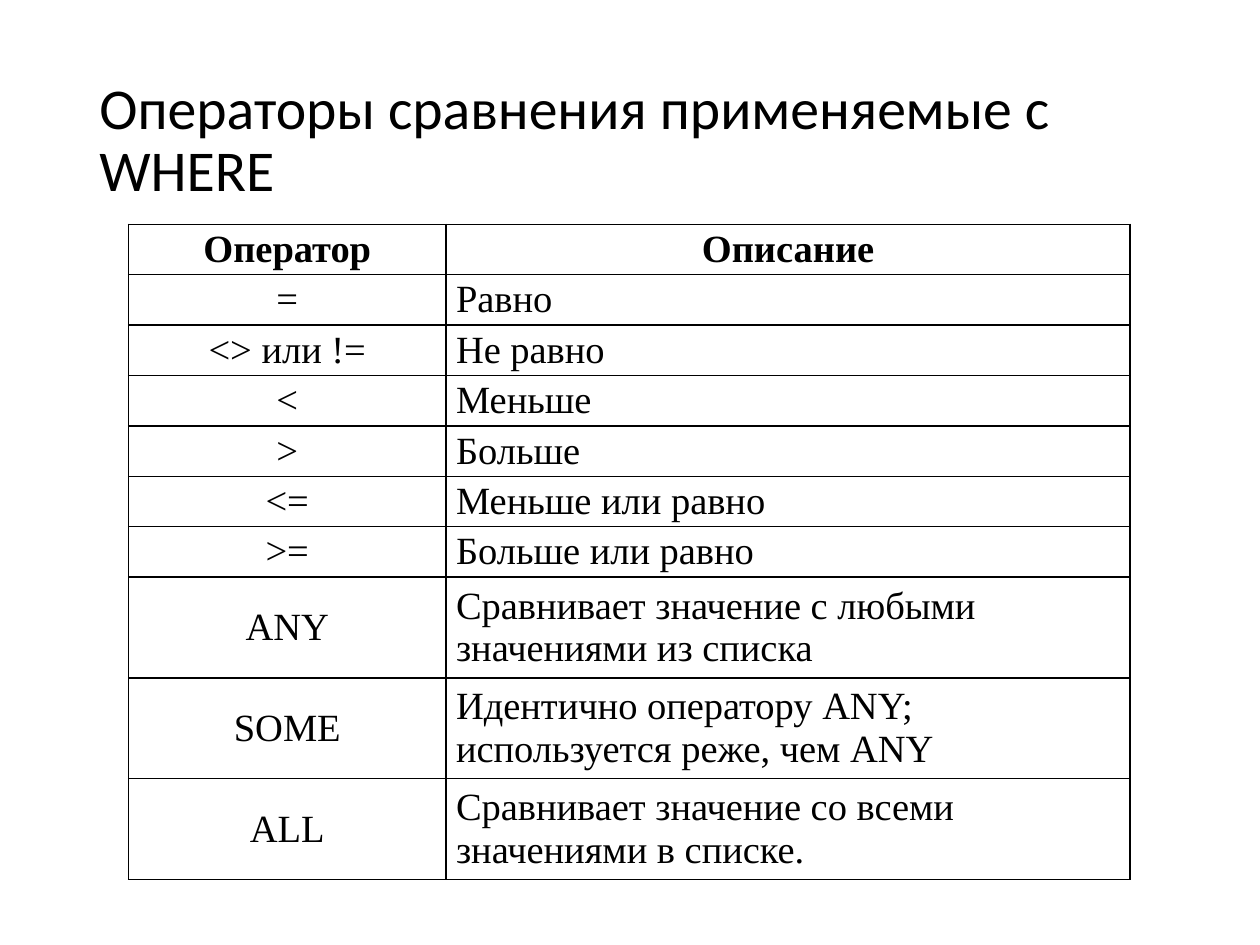
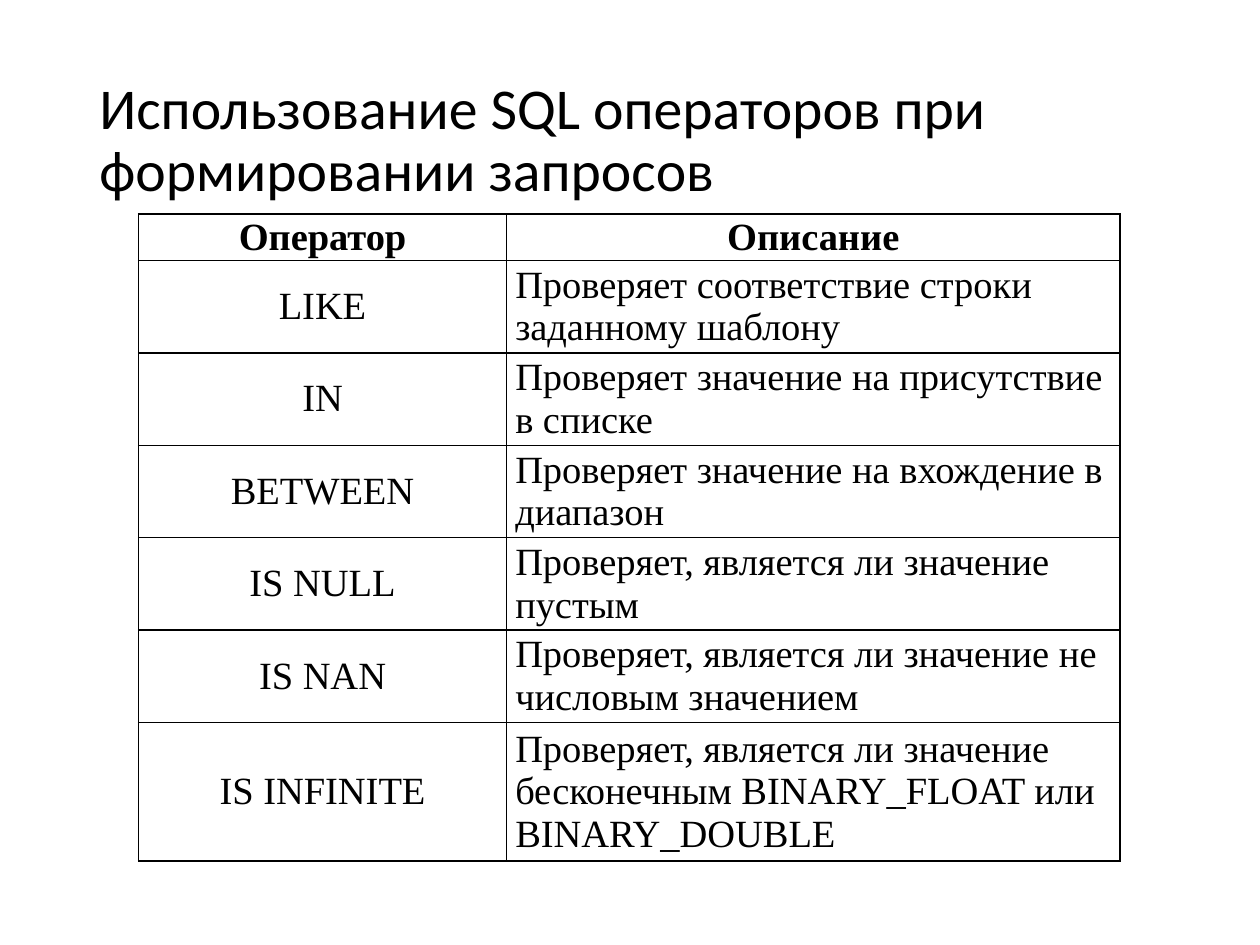
"""Build two slides that list SQL comparison and condition operators."""
from dataclasses import dataclass

from lxml import etree
from pptx import Presentation
from pptx.dml.color import RGBColor
from pptx.enum.text import MSO_ANCHOR, PP_ALIGN
from pptx.oxml.ns import qn
from pptx.util import Inches, Pt

MIDDLE = MSO_ANCHOR.MIDDLE
CENTER, LEFT = PP_ALIGN.CENTER, PP_ALIGN.LEFT

HEADER = ("Оператор", "Описание", 1)

SLIDES = [
    {
        "title": "Операторы сравнения применяемые с WHERE",
        "left": 1.02, "top": 1.78, "columns": (2.52, 5.43),
        "line_height": 0.4, "inset": 0.08,
        "rows": [
            ("=", "Равно", 1),
            ("<> или !=", "Не равно", 1),
            ("<", "Меньше", 1),
            (">", "Больше", 1),
            ("<=", "Меньше или равно", 1),
            (">=", "Больше или равно", 1),
            ("ANY", "Сравнивает значение с любыми значениями из списка", 2),
            ("SOME", "Идентично оператору ANY; используется реже, чем ANY", 2),
            ("ALL", "Сравнивает значение со всеми значениями в списке.", 2),
        ],
    },
    {
        "title": "Использование SQL операторов при формировании запросов",
        "left": 1.1, "top": 1.7, "columns": (2.92, 4.87),
        "line_height": 5.13 / 14, "inset": 0.07,
        "rows": [
            ("LIKE", "Проверяет соответствие строки заданному шаблону", 2),
            ("IN", "Проверяет значение на присутствие в списке", 2),
            ("BETWEEN", "Проверяет значение на вхождение в диапазон", 2),
            ("IS NULL", "Проверяет, является ли значение пустым", 2),
            ("IS NAN", "Проверяет, является ли значение не числовым значением", 2),
            ("IS INFINITE", "Проверяет, является ли значение бесконечным "
                            "BINARY_FLOAT или BINARY_DOUBLE", 3),
        ],
    },
]


@dataclass(frozen=True)
class Theme:
    ink: str = "000000"
    paper: str = "FFFFFF"
    title_font: str = "Calibri"
    title_size: int = 33
    title_spacing: float = 0.9
    title_box: tuple = (0.69, 0.4, 8.62, 1.45)
    table_font: str = "Times New Roman"
    table_size: int = 22
    border_width: int = 1


THEME = Theme()


def apply_format(target, values):
    for name, value in values.items():
        setattr(target, name, value)


def write_text(frame, text, font_name, size, bold=False, **paragraph_format):
    paragraph = frame.paragraphs[0]
    run = paragraph.add_run()
    run.text = text
    apply_format(paragraph, paragraph_format)
    apply_format(run.font, {"name": font_name, "size": Pt(size), "bold": bold})
    run.font.color.rgb = RGBColor.from_string(THEME.ink)


def add_title(slide, text):
    frame = slide.shapes.add_textbox(*map(Inches, THEME.title_box)).text_frame
    apply_format(frame, {"word_wrap": True, "vertical_anchor": MIDDLE})
    write_text(frame, text, THEME.title_font, THEME.title_size,
               line_spacing=THEME.title_spacing)


def add_borders(cell):
    properties = cell._tc.get_or_add_tcPr()
    for side in ("a:lnL", "a:lnR", "a:lnT", "a:lnB"):
        line = etree.SubElement(properties, qn(side), w=str(Pt(THEME.border_width)))
        fill = etree.SubElement(line, qn("a:solidFill"))
        etree.SubElement(fill, qn("a:srgbClr"), val=THEME.ink)


def add_operator_table(slide, content):
    rows = [HEADER, *content["rows"]]
    heights = [lines * content["line_height"] for *_, lines in rows]
    columns = content["columns"]
    table = slide.shapes.add_table(
        len(rows), len(columns), Inches(content["left"]), Inches(content["top"]),
        Inches(sum(columns)), Inches(sum(heights))).table
    apply_format(table, {"first_row": False, "horz_banding": False})
    for column, width in zip(table.columns, columns):
        column.width = Inches(width)

    inset = Inches(content["inset"])
    cell_format = {"vertical_anchor": MIDDLE, "margin_left": inset,
                   "margin_right": inset, "margin_top": 0, "margin_bottom": 0}
    for row_index, (operator, description, _) in enumerate(rows):
        table.rows[row_index].height = Inches(heights[row_index])
        is_header = row_index == 0
        for column_index, text in enumerate((operator, description)):
            cell = table.cell(row_index, column_index)
            apply_format(cell, cell_format)
            add_borders(cell)
            cell.fill.background()
            centered = is_header or column_index == 0
            write_text(cell.text_frame, text, THEME.table_font, THEME.table_size,
                       bold=is_header, alignment=CENTER if centered else LEFT)


def main():
    presentation = Presentation()
    apply_format(presentation, {"slide_width": Inches(10), "slide_height": Inches(7.5)})
    blank_layout = presentation.slide_layouts[6]
    for content in SLIDES:
        slide = presentation.slides.add_slide(blank_layout)
        background = slide.background.fill
        background.solid()
        background.fore_color.rgb = RGBColor.from_string(THEME.paper)
        add_title(slide, content["title"])
        add_operator_table(slide, content)
    presentation.save("out.pptx")


if __name__ == "__main__":
    main()
